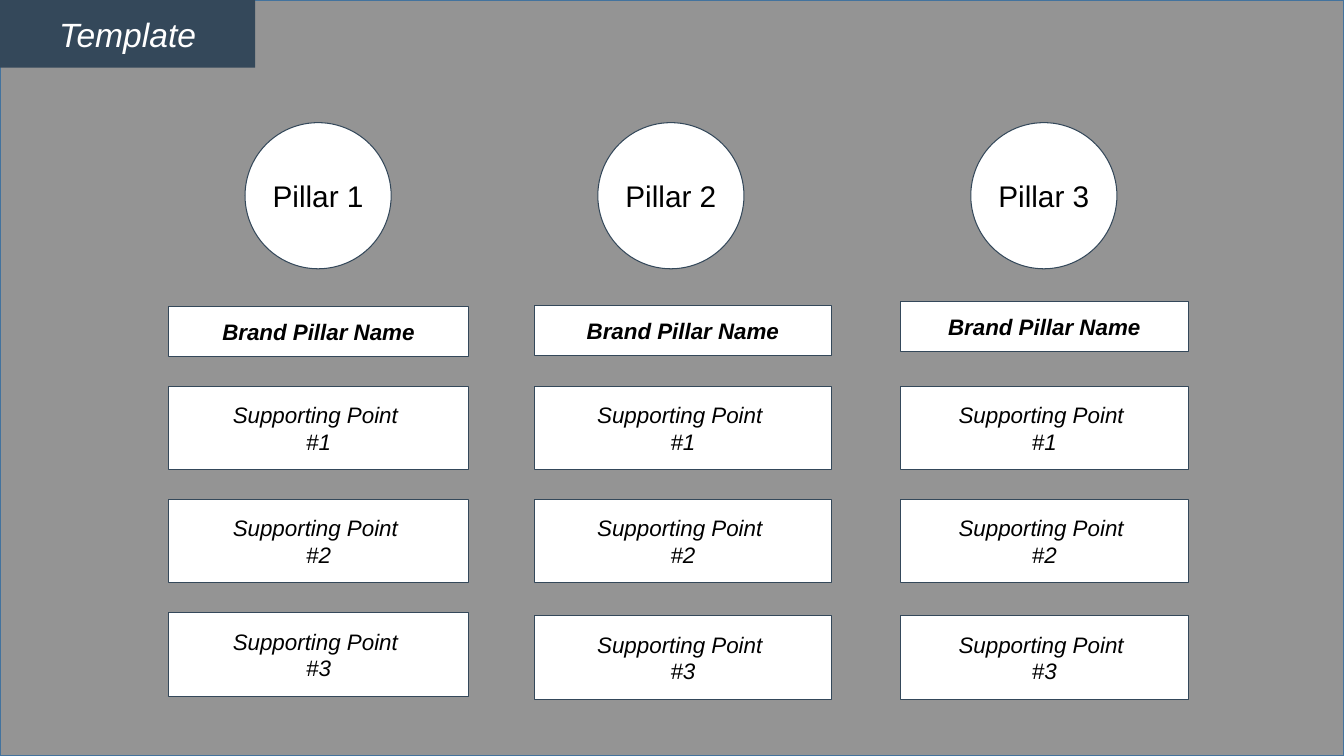
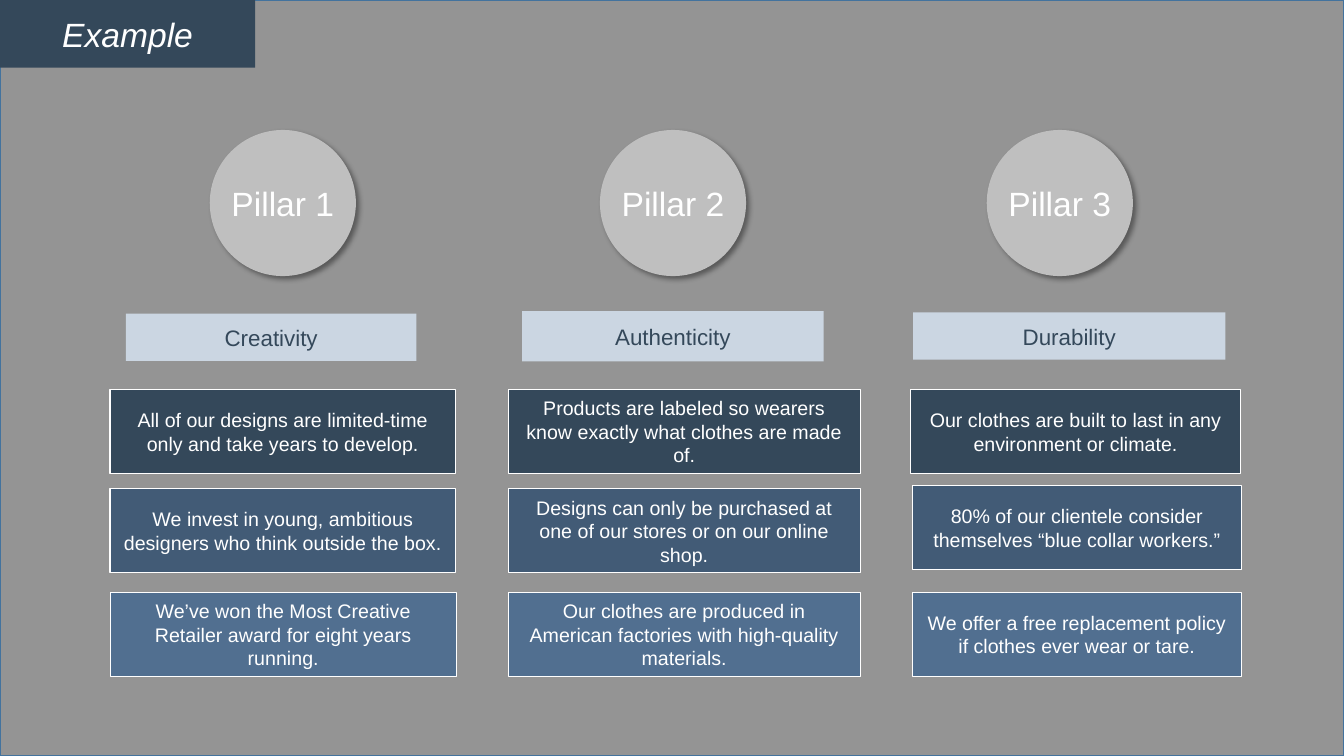
from lxml import etree
from pptx import Presentation
from pptx.dml.color import RGBColor
from pptx.enum import shapes, text
from pptx.oxml.ns import qn
from pptx.util import Pt

COLORS = {"black": "000000", "white": "FFFFFF", "navy": "34485A",
          "slate": "425B76", "steel": "516F90", "mist": "CBD6E2",
          "silver": "BFBFBF", "edge": "43739E"}
RECT, OVAL = shapes.MSO_SHAPE.RECTANGLE, shapes.MSO_SHAPE.OVAL
INSET = 9.6
CIRCLE = 104.4
POINT_HEIGHT = 59.8

# Formats: fill, outline and font of each kind of part
TAB = {"fill": "navy", "color": "white", "font": {"size": Pt(24), "italic": True}}
BLANK = {"fill": "white", "line": "navy", "color": "black"}
BLANK_CIRCLE = {**BLANK, "side": 0, "font": {"size": Pt(21.3)}}
BLANK_NAME = {**BLANK, "font": {"size": Pt(16), "bold": True, "italic": True}}
BLANK_POINT = {**BLANK, "font": {"size": Pt(16), "italic": True}}
CIRCLE_STYLE = {"fill": "silver", "color": "white", "side": 0, "shadow": True,
                "font": {"size": Pt(24)}}
NAME_STYLE = {"fill": "mist", "color": "navy", "font": {"size": Pt(16)}}
POINT_STYLES = [{"fill": shade, "line": "white", "color": "white",
                 "font": {"size": Pt(14)}} for shade in ("navy", "slate", "steel")]

# Content: each pillar has a circle left, a name box (left, top, width, height)
# and supporting points (left, top, width, wording)
blank_pillars = []
for circle_left, left, width, name_top, last_top in (
        (175, 120.2, 214.6, 219, 437.6),
        (427, 381.6, 212.4, 218, 439.8),
        (693.4, 643, 205.9, 215.3, 439.8)):
    blank_points = [(left, top, width, f"Supporting Point \n#{number}")
                    for number, top in enumerate((275.8, 356.6, last_top), 1)]
    blank_pillars.append((circle_left, (left, name_top, width, 36),
                          "Brand Pillar Name", blank_points))

example_pillars = [
    (149.8, (90, 224, 207.4, 33.8), "Creativity", [
        (78.6, 278.4, 246.9, "All of our designs are limited-time only and take years to develop."),
        (78.6, 349.2, 246.9, "We invest in young, ambitious designers who think outside the box."),
        (78.9, 423.2, 246.9, "We’ve won the Most Creative Retailer award for eight years running.")]),
    (428.5, (373, 222.2, 215.3, 36), "Authenticity", [
        (363, 278.4, 251.4, "Products are labeled so wearers know exactly what clothes are made of."),
        (363, 349.2, 251.4, "Designs can only be purchased at one of our stores or on our online shop."),
        (363, 423.2, 251.4, "Our clothes are produced in American factories with high-quality materials.")]),
    (704.8, (652.2, 223.2, 223.2, 33.8), "Durability", [
        (650.2, 278.4, 236.2, "Our clothes are built to last in any environment or climate."),
        (652, 347, 234.6, "80% of our clientele consider themselves “blue collar workers.”"),
        (652, 423.2, 234.6, "We offer a free replacement policy if clothes ever wear or tare.")]),
]

decks = [
    ("Template", 87.6, blank_pillars, BLANK_CIRCLE, BLANK_NAME, [BLANK_POINT] * 3),
    ("Example", 92.8, example_pillars, CIRCLE_STYLE, NAME_STYLE, POINT_STYLES),
]


def rgb(name):
    return RGBColor.from_string(COLORS[name])


def dress(part, wording, style):
    """Fill, outline and label one part."""
    part.fill.solid()
    part.fill.fore_color.rgb = rgb(style["fill"])
    if "line" in style:
        part.line.color.rgb = rgb(style["line"])
        part.line.width = Pt(0.75)
    else:
        part.line.fill.background()
    part.shadow.inherit = False
    if style.get("shadow"):
        effects = part.element.spPr.find(qn("a:effectLst"))
        cast = etree.SubElement(effects, qn("a:outerShdw"), blurRad=str(Pt(4)),
                                dist=str(Pt(3)), dir="2700000", algn="tl")
        tone = etree.SubElement(cast, qn("a:srgbClr"), val=COLORS["black"])
        etree.SubElement(tone, qn("a:alpha"), val="40000")
    side = Pt(style.get("side", INSET))
    frame = part.text_frame
    frame.text = wording
    for key, value in {"word_wrap": True, "auto_size": text.MSO_AUTO_SIZE.NONE,
                       "vertical_anchor": text.MSO_ANCHOR.MIDDLE,
                       "margin_left": side, "margin_right": side,
                       "margin_top": Pt(INSET), "margin_bottom": Pt(INSET)}.items():
        setattr(frame, key, value)
    for paragraph in frame.paragraphs:
        paragraph.alignment = text.PP_ALIGN.CENTER
        for run in paragraph.runs:
            run.font.color.rgb = rgb(style["color"])
            for key, value in {"name": "Arial", **style["font"]}.items():
                setattr(run.font, key, value)


deck = Presentation()
deck.slide_width, deck.slide_height = Pt(960), Pt(540)

for heading, circle_top, pillars, circle_style, name_style, point_styles in decks:
    slide = deck.slides.add_slide(deck.slide_layouts[5])

    # Grey tint over the whole slide
    tint = slide.shapes.add_shape(RECT, 0, 0, deck.slide_width, deck.slide_height)
    tint.fill.solid()
    tint.fill.fore_color.rgb = rgb("black")
    tint_color = tint.element.spPr.find(qn("a:solidFill")).find(qn("a:srgbClr"))
    etree.SubElement(tint_color, qn("a:alpha"), val="42000")
    tint.line.color.rgb = rgb("edge")
    tint.line.width = Pt(1)
    tint.shadow.inherit = False

    # Title tab in the corner, in front of the tint
    tab = slide.shapes.title
    tab.left, tab.top, tab.width, tab.height = 0, 0, Pt(182.3), Pt(48.4)
    dress(tab, heading, TAB)
    tint.element.addnext(tab.element)

    # Pillars: circle, name, supporting points
    for number, (circle_left, name_box, name, points) in enumerate(pillars, 1):
        circle = slide.shapes.add_shape(OVAL, Pt(circle_left), Pt(circle_top),
                                        Pt(CIRCLE), Pt(CIRCLE))
        dress(circle, f"Pillar {number}", circle_style)
        name_plate = slide.shapes.add_shape(RECT, *map(Pt, name_box))
        dress(name_plate, name, name_style)
        for (left, top, width, wording), style in zip(points, point_styles):
            point = slide.shapes.add_shape(RECT, Pt(left), Pt(top),
                                           Pt(width), Pt(POINT_HEIGHT))
            dress(point, wording, style)

deck.save("out.pptx")
